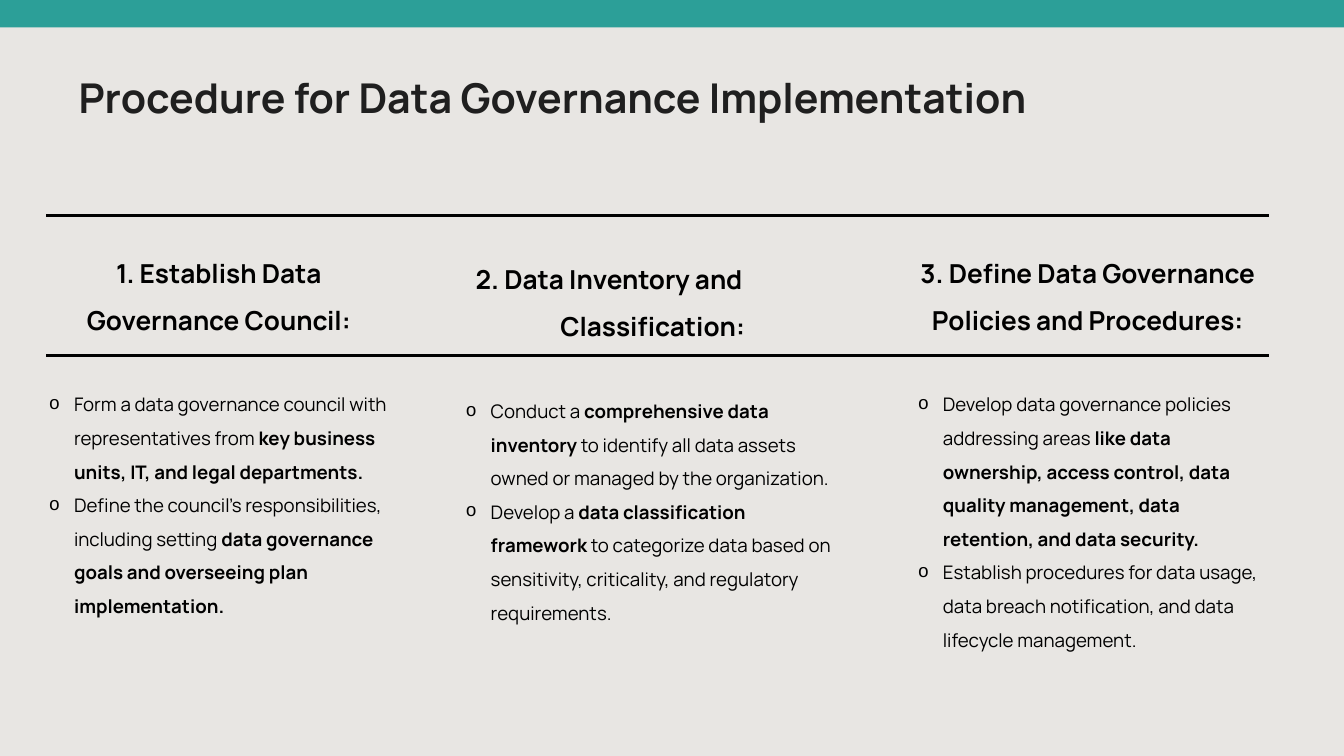
from dataclasses import dataclass

from lxml import etree
from pptx import Presentation
from pptx.dml.color import RGBColor
from pptx.enum.shapes import MSO_CONNECTOR, MSO_SHAPE
from pptx.enum.text import MSO_AUTO_SIZE, PP_ALIGN
from pptx.oxml.ns import qn
from pptx.util import Cm, Pt

STRAIGHT = MSO_CONNECTOR.STRAIGHT
RECTANGLE = MSO_SHAPE.RECTANGLE
GROW = MSO_AUTO_SIZE.SHAPE_TO_FIT_TEXT
CENTER = PP_ALIGN.CENTER
LEFT = PP_ALIGN.LEFT


@dataclass(frozen=True)
class Theme:
    """Colours, fonts and type sizes of the slide."""
    background: RGBColor = RGBColor(0xE8, 0xE6, 0xE3)
    accent: RGBColor = RGBColor(0x2C, 0x9F, 0x98)
    title_ink: RGBColor = RGBColor(0x1F, 0x1F, 0x1F)
    ink: RGBColor = RGBColor(0, 0, 0)
    font: str = "Manrope"
    bullet_font: str = "Courier New"
    title_size: Pt = Pt(44)
    heading_size: Pt = Pt(28)
    body_size: Pt = Pt(20)
    title_leading: Pt = Pt(50.4)
    heading_gap: Pt = Pt(50)
    rule_width: Pt = Pt(3)
    leading: float = 1.5


@dataclass(frozen=True)
class Step:
    """One column: its box in cm, heading, and bullets of (text, bold) runs."""
    box: tuple
    heading: str
    bullets: tuple
    hanging: tuple = ()


THEME = Theme()

STEPS = (
    Step((1.6, 9, 13.34, 15.52), "1. Establish Data Governance Council:", (
        (("Form a data governance council with representatives from ", False),
         ("key business units, IT, and legal departments.", True)),
        (("Define the council's responsibilities, including setting ", False),
         ("data governance goals and overseeing plan implementation.", True)),
    )),
    Step((17.35, 9.25, 14.68, 14.4), "2. Data Inventory and Classification:", (
        (("Conduct a ", False), ("comprehensive data inventory ", True),
         ("to identify all data assets owned or managed by the organization.", False)),
        (("Develop a ", False), ("data classification framework ", True),
         ("to categorize data based on sensitivity, criticality, "
          "and regulatory requirements.", False)),
    ), hanging=(3.58, -3.2)),
    Step((34.44, 9, 13.34, 16.92), "3. Define Data Governance Policies and Procedures:", (
        (("Develop data governance policies addressing areas ", False),
         ("like data ownership, access control, data quality management, "
          "data retention, and data security.", True)),
        (("Establish procedures for data usage, data breach notification, "
          "and data lifecycle management.", False),),
    )),
)


def style(paragraph, size, color, bold=None):
    """Set the font that all runs of a paragraph share."""
    font = paragraph.font
    font.name, font.size, font.bold = THEME.font, size, bold
    font.color.rgb = color


def indent(paragraph, margin, first_line):
    """Set the left margin and first-line indent, in cm."""
    properties = paragraph._p.get_or_add_pPr()
    properties.set("marL", str(Cm(margin)))
    properties.set("indent", str(Cm(first_line)))


def add_text_frame(slide, box):
    """Add a wrapping text box that grows with its text."""
    frame = slide.shapes.add_textbox(*map(Cm, box)).text_frame
    frame.word_wrap = True
    frame.auto_size = GROW
    return frame


def add_band(slide, width):
    """Add the coloured band along the top edge."""
    band = slide.shapes.add_shape(RECTANGLE, 0, 0, width, Cm(1.04))
    band.shadow.inherit = False
    band.fill.solid()
    band.fill.fore_color.rgb = THEME.accent
    band.line.fill.background()


def add_title(slide, wording):
    """Add the slide title."""
    frame = add_text_frame(slide, (2.97, 2.82, 40.26, 3.56))
    frame.margin_left = frame.margin_right = frame.margin_top = frame.margin_bottom = 0
    title = frame.paragraphs[0]
    title.text = wording
    title.line_spacing = THEME.title_leading
    style(title, THEME.title_size, THEME.title_ink, True)


def add_rule(slide, y):
    """Add a horizontal rule across the columns."""
    rule = slide.shapes.add_connector(STRAIGHT, Cm(1.75), Cm(y), Cm(47.96), Cm(y))
    rule.line.color.rgb = THEME.ink
    rule.line.width = THEME.rule_width
    etree.SubElement(rule._element.spPr, qn("a:effectLst"))


def add_bullet(frame, runs):
    """Add a bulleted paragraph with plain and bold runs."""
    bullet = frame.add_paragraph()
    bullet.line_spacing = THEME.leading
    indent(bullet, 0.95, -0.95)
    properties = bullet._p.get_or_add_pPr()
    etree.SubElement(properties, qn("a:buFont"), typeface=THEME.bullet_font)
    etree.SubElement(properties, qn("a:buChar"), char="o")
    style(bullet, THEME.body_size, THEME.ink)
    for wording, bold in runs:
        run = bullet.add_run()
        run.text = wording
        run.font.bold = bold


def add_step(slide, step):
    """Add one column with its heading and bullets."""
    frame = add_text_frame(slide, step.box)
    heading = frame.paragraphs[0]
    heading.text = step.heading
    heading.alignment = LEFT if step.hanging else CENTER
    heading.line_spacing = THEME.leading
    heading.space_after = THEME.heading_gap
    if step.hanging:
        indent(heading, *step.hanging)
    style(heading, THEME.heading_size, THEME.ink, True)
    for runs in step.bullets:
        add_bullet(frame, runs)


def main():
    """Build and save the slide."""
    deck = Presentation()
    deck.slide_width, deck.slide_height = Cm(50.8), Cm(28.58)
    slide = deck.slides.add_slide(deck.slide_layouts[6])
    slide.background.fill.solid()
    slide.background.fill.fore_color.rgb = THEME.background
    add_band(slide, deck.slide_width)
    add_title(slide, "Procedure for Data Governance Implementation")
    for step in STEPS:
        add_step(slide, step)
    for y in (8.15, 13.44):
        add_rule(slide, y)
    deck.save("out.pptx")


if __name__ == "__main__":
    main()
